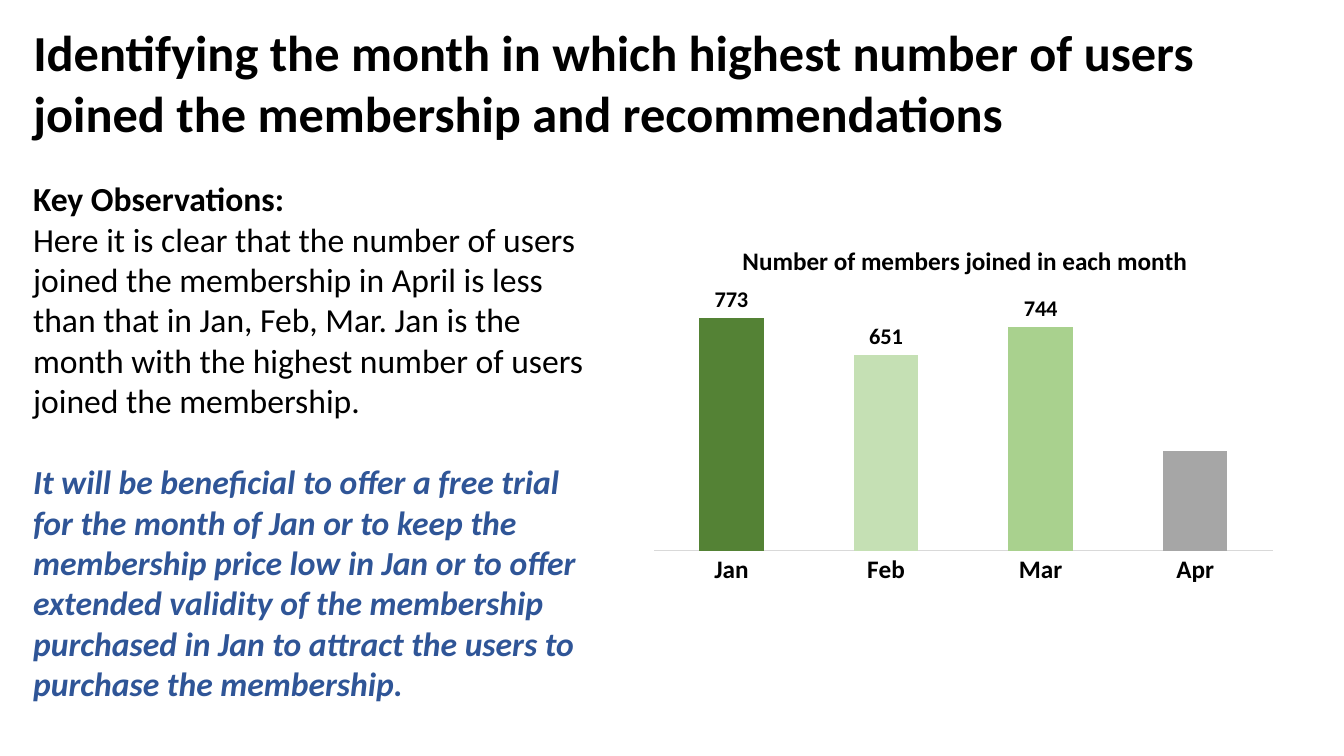
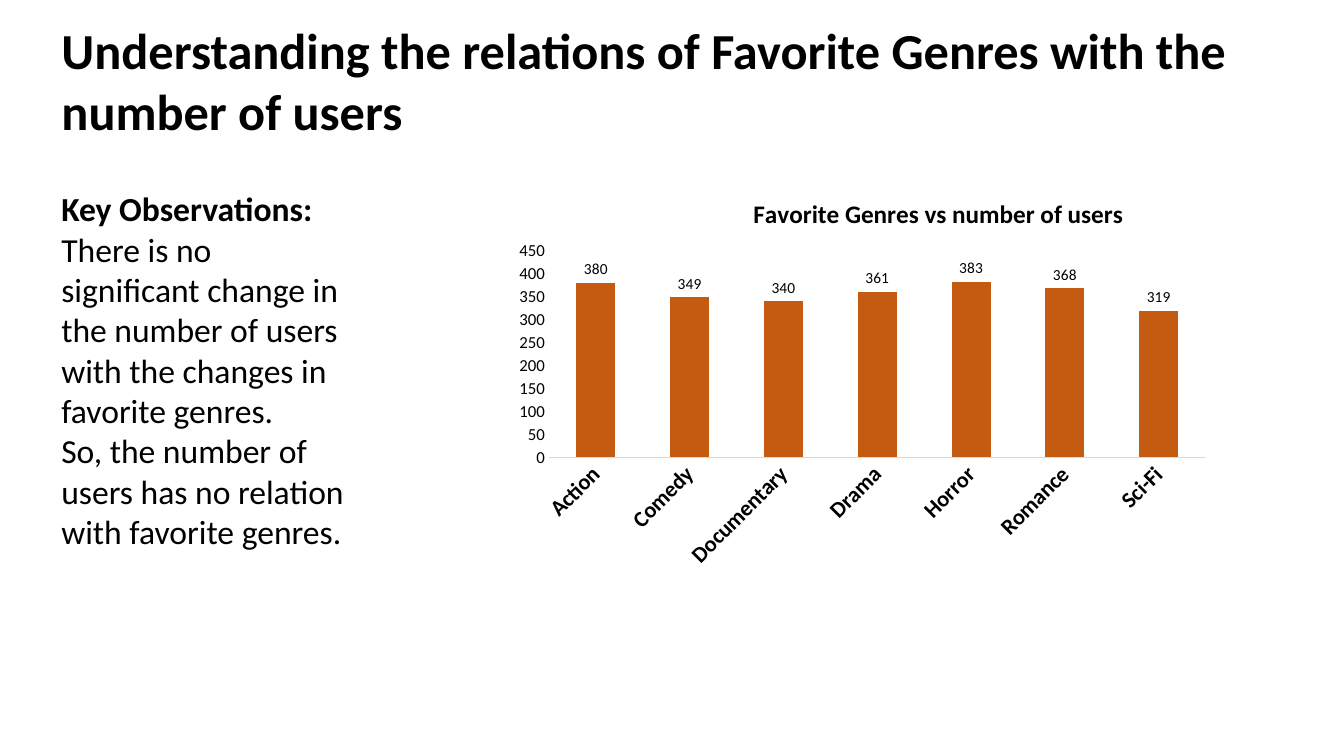
"""Build two slides, each with a title, key observations and a column chart."""
import lxml.etree
import pptx
import pptx.chart.data
import pptx.dml.color
import pptx.enum.chart
import pptx.enum.text
import pptx.oxml.ns
import pptx.util

Inches = pptx.util.Inches
Pt = pptx.util.Pt
RGBColor = pptx.dml.color.RGBColor
qn = pptx.oxml.ns.qn

BLACK = RGBColor(0x00, 0x00, 0x00)
BLUE = RGBColor(0x2F, 0x55, 0x97)
AXIS_GRAY = RGBColor(0xD9, 0xD9, 0xD9)
ORANGE = RGBColor(0xC5, 0x5A, 0x11)
DARK_GREEN = RGBColor(0x54, 0x82, 0x35)
PALE_GREEN = RGBColor(0xC5, 0xE0, 0xB4)
LIGHT_GREEN = RGBColor(0xA9, 0xD1, 0x8E)
GRAY = RGBColor(0xA6, 0xA6, 0xA6)

TITLE = {"size": Pt(36), "bold": True}
HEADING = {"size": Pt(24), "bold": True}
BODY = {"size": Pt(24), "bold": False}
ADVICE = {"size": Pt(24), "bold": True, "italic": True, "color": BLUE}
CHART_TITLE = {"size": Pt(18), "bold": True}
BLANK_LINE = Pt(29.3)

SLIDES = [
    {
        "title": "Identifying the month in which highest number of users joined the membership and recommendations",
        "title_box": (0.23, 0.16, 12.84, 1.31),
        "text_box": (0.23, 1.72, 5.66, 5.35),
        "text": [
            ("Key Observations:", HEADING, 0),
            ("Here it is clear that the number of users joined the membership in April is less than that in "
             "Jan, Feb, Mar. Jan is the month with the highest number of users joined the membership.", BODY, 0),
            ("It will be beneficial to offer a free trial for the month of Jan or to keep the membership price "
             "low in Jan or to offer extended validity of the membership purchased in Jan to attract the users "
             "to purchase the membership.", ADVICE, BLANK_LINE),
        ],
        "chart": {
            "box": (6.36, 2.18, 6.39, 3.73),
            "title": "Number of members joined in each month",
            "title_layout": {"x": 0.15, "y": 0.05},
            "plot_layout": {"x": 0.02, "y": 0.16, "w": 0.96, "h": 0.72},
            "values": {"Jan": 773, "Feb": 651, "Mar": 744, "Apr": 332},
            "colors": [DARK_GREEN, PALE_GREEN, LIGHT_GREEN, GRAY],
            "labelled": 3,
            "label_font": {"size": Pt(16), "bold": True},
            "category_font": {"size": Pt(18), "bold": True},
            "rotation": 0,
            "value_axis": False,
            "scale": (900, 100),
        },
    },
    {
        "title": "Understanding the relations of Favorite Genres with the number of users",
        "title_box": (0.51, 0.14, 12.32, 1.31),
        "text_box": (0.51, 1.82, 3.04, 3.74),
        "text": [
            ("Key Observations:", HEADING, 0),
            ("There is no significant change in the number of users with the changes in favorite genres.", BODY, 0),
            ("So, the number of users has no relation with favorite genres.", BODY, 0),
        ],
        "chart": {
            "box": (5.02, 1.78, 7.08, 3.94),
            "title": "Favorite Genres vs number of users",
            "title_layout": {"x": 0.34, "y": 0.03},
            "plot_layout": {"x": 0.06, "y": 0.18, "w": 0.92, "h": 0.52},
            "values": {"Action": 380, "Comedy": 349, "Documentary": 340, "Drama": 361,
                       "Horror": 383, "Romance": 368, "Sci-Fi": 319},
            "colors": [ORANGE] * 7,
            "labelled": 7,
            "label_font": {"size": Pt(11), "bold": False},
            "category_font": {"size": Pt(16), "bold": True},
            "rotation": -45,
            "value_axis": True,
            "scale": (450, 50),
        },
    },
]


def set_font(font, values):
    """Apply format values on top of the shared font and colour."""
    for name, value in {"name": "Calibri", "color": BLACK, **values}.items():
        if name == "color":
            font.color.rgb = value
        else:
            setattr(font, name, value)


def fill_text(text_frame, paragraphs):
    """Write paragraphs of text, format and space before."""
    text_frame.word_wrap = True
    text_frame.vertical_anchor = pptx.enum.text.MSO_ANCHOR.TOP
    for index, (text, values, space) in enumerate(paragraphs):
        paragraph = text_frame.add_paragraph() if index else text_frame.paragraphs[0]
        paragraph.alignment = pptx.enum.text.PP_ALIGN.LEFT
        paragraph.space_before = space
        run = paragraph.add_run()
        run.text = text
        set_font(run.font, values)


def set_layout(parent, position, values, inner=False):
    """Place a chart part by fractions of the chart's size."""
    for old_layout in parent.findall(qn("c:layout")):
        parent.remove(old_layout)
    layout = lxml.etree.Element(qn("c:layout"))
    parent.insert(position, layout)
    manual = lxml.etree.SubElement(layout, qn("c:manualLayout"))
    settings = {"layoutTarget": "inner"} if inner else {}
    settings.update({"xMode": "edge", "yMode": "edge", **values})
    for name, value in settings.items():
        lxml.etree.SubElement(manual, qn(f"c:{name}")).set("val", str(value))


def add_column_chart(slide, content):
    """Add a column chart with its own columns, labels and axes."""
    data = pptx.chart.data.CategoryChartData()
    data.categories = list(content["values"])
    data.add_series("Series 1", list(content["values"].values()))
    chart = slide.shapes.add_chart(
        pptx.enum.chart.XL_CHART_TYPE.COLUMN_CLUSTERED, *map(Inches, content["box"]), data).chart
    set_font(chart.font, {"size": Pt(10)})
    chart.has_legend = False
    chart.has_title = True
    fill_text(chart.chart_title.text_frame, [(content["title"], CHART_TITLE, 0)])
    set_layout(chart.chart_title._element, 1, content["title_layout"])

    plot = chart.plots[0]
    set_layout(plot._element.getparent(), 0, content["plot_layout"], inner=True)
    for name, value in {"gap_width": 140, "overlap": -27, "vary_by_categories": False}.items():
        setattr(plot, name, value)
    series = plot.series[0]
    series.format.fill.solid()
    series.format.fill.fore_color.rgb = content["colors"][0]
    labels = series.data_labels
    labels.show_value = content["labelled"] == len(content["values"])
    for index, color in enumerate(content["colors"]):
        point = series.points[index]
        point.format.fill.solid()
        point.format.fill.fore_color.rgb = color
        if index < content["labelled"]:
            set_font(point.data_label.font, content["label_font"])
            point.data_label.position = pptx.enum.chart.XL_LABEL_POSITION.OUTSIDE_END

    category_axis, value_axis = chart.category_axis, chart.value_axis
    for axis in (category_axis, value_axis):
        axis.has_major_gridlines = False
        axis.major_tick_mark = pptx.enum.chart.XL_TICK_MARK.NONE
    set_font(category_axis.tick_labels.font, content["category_font"])
    text_body = category_axis._element.find(qn("c:txPr")).find(qn("a:bodyPr"))
    text_body.set("rot", str(content["rotation"] * 60000))
    category_axis.format.line.color.rgb = AXIS_GRAY
    category_axis.format.line.width = Pt(0.75)
    value_axis.visible = content["value_axis"]
    value_axis.minimum_scale = 0
    value_axis.maximum_scale, value_axis.major_unit = content["scale"]
    value_axis.format.line.fill.background()
    set_font(value_axis.tick_labels.font, {"size": Pt(12)})


def add_slide(presentation, content):
    """Add one slide with its title, observations and chart."""
    slide = presentation.slides.add_slide(presentation.slide_layouts[5])
    title = slide.shapes.title
    title.left, title.top, title.width, title.height = map(Inches, content["title_box"])
    fill_text(title.text_frame, [(content["title"], TITLE, 0)])
    observations = slide.shapes.add_textbox(*map(Inches, content["text_box"]))
    fill_text(observations.text_frame, content["text"])
    add_column_chart(slide, content["chart"])


def main():
    """Create and save the presentation."""
    presentation = pptx.Presentation()
    presentation.slide_width = Inches(13.33)
    presentation.slide_height = Inches(7.5)
    for content in SLIDES:
        add_slide(presentation, content)
    presentation.save("out.pptx")


if __name__ == "__main__":
    main()
